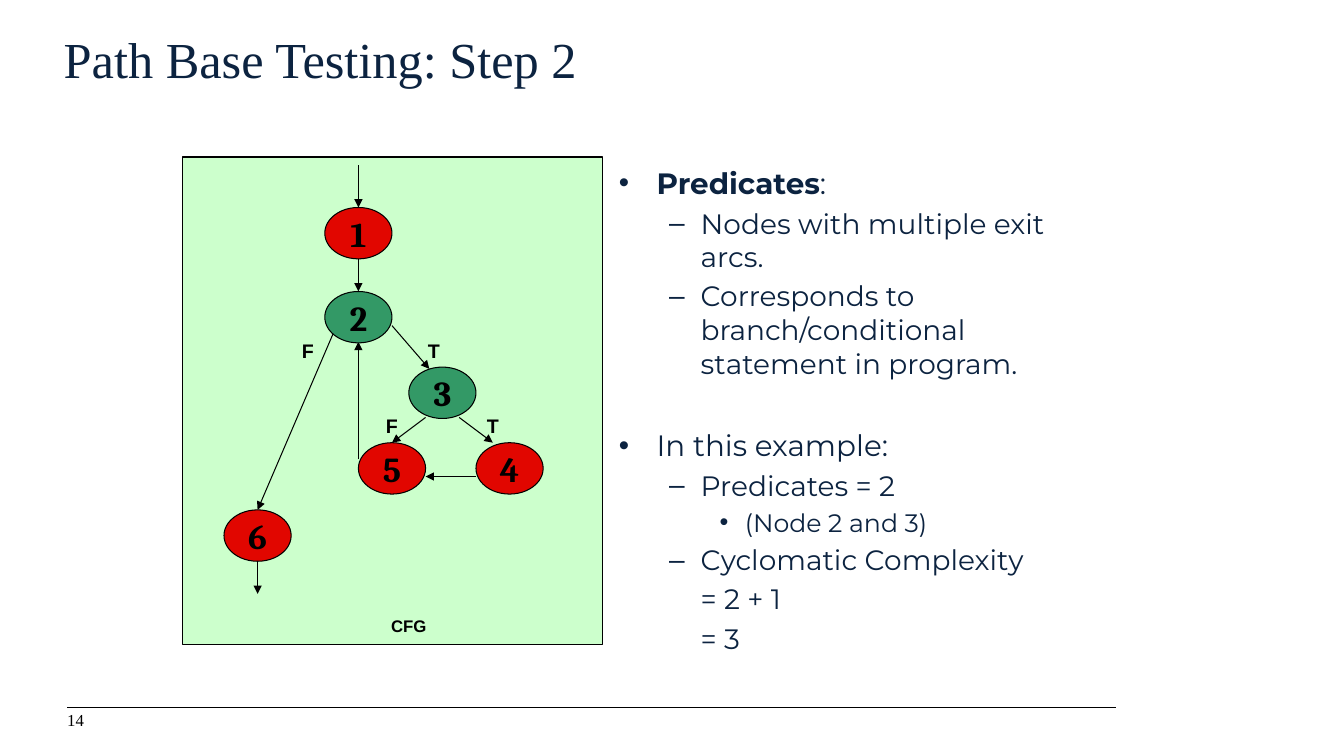
from lxml import etree
from pptx import Presentation
from pptx import util as u
from pptx.dml.color import RGBColor
from pptx.enum import shapes, text
from pptx.oxml.ns import qn

COLOURS = {
    "navy": "0C2340",
    "black": "000000",
    "panel": "CCFFCC",
    "red": "E10600",
    "green": "339966",
}
NODE_WIDTH, NODE_HEIGHT = 48, 36.7

# label: (left, top, colour)
NODES = {
    "1": (232, 148.2, "red"),
    "2": (232, 208.2, "green"),
    "3": (292, 262.2, "green"),
    "4": (340, 316.2, "red"),
    "5": (256, 316.2, "red"),
    "6": (160, 364.2, "red"),
}
ARROWS = [
    (256, 118.2, 256, 148.2),
    (256, 184.6, 256, 208.2),
    (280, 232.6, 306.7, 263.5),
    (304, 298.2, 280, 316.2),
    (328, 298.2, 352, 316.2),
    (340, 340.4, 304, 340.4),
    (256, 328.2, 256, 244.2),
    (238, 238.2, 184, 364.2),
    (184, 400.6, 184, 424.2),
]
BRANCH_LABELS = [("T", 292, 238.2), ("F", 202, 238.2), ("T", 334, 292.2), ("F", 262, 292.2)]

# level: (left margin, hanging indent, size)
LEVELS = [(27, 27, 21), (58.5, 22.5, 20), (90, 18, 18)]
# level, bulleted, space before, runs of (text, bold)
BULLETS = [
    (0, True, 0, [("Predicates", True), (":", False)]),
    (1, True, 4, [("Nodes with multiple exit arcs.", False)]),
    (1, True, 4, [("Corresponds to branch/conditional statement in program.", False)]),
    (0, True, 34, [("In this example:", False)]),
    (1, True, 4, [("Predicates = 2", False)]),
    (2, True, 3.6, [("(Node 2 and 3)", False)]),
    (1, True, 4, [("Cyclomatic Complexity", False)]),
    (1, False, 4, [("= 2 + 1", False)]),
    (1, False, 4, [("= 3", False)]),
]


def add_text(paragraph, content, font="Arial", size=12, colour="black", bold=False, align=None):
    run = paragraph.add_run()
    run.text = content
    run.font.name = font
    run.font.size = u.Pt(size)
    run.font.bold = bold
    run.font.color.rgb = RGBColor.from_string(COLOURS[colour])
    if align is not None:
        paragraph.alignment = align


def set_frame(frame, anchor, insets=(7.2, 3.6, 7.2, 3.6), wrap=True):
    frame.auto_size = text.MSO_AUTO_SIZE.NONE
    frame.word_wrap = wrap
    frame.vertical_anchor = anchor
    (frame.margin_left, frame.margin_top,
     frame.margin_right, frame.margin_bottom) = map(u.Pt, insets)


class SlideBuilder:
    FLUSH = (0, 0, 7.2, 3.6)
    TOP, MIDDLE = text.MSO_ANCHOR.TOP, text.MSO_ANCHOR.MIDDLE
    CENTRE, LEFT = text.PP_ALIGN.CENTER, text.PP_ALIGN.LEFT

    def __init__(self, slide):
        self.slide = slide

    def placeholder(self, index, left, top, width, height):
        """Move a template placeholder and return its text frame."""
        shape = self.slide.placeholders[index]
        shape.left, shape.top, shape.width, shape.height = map(u.Pt, (left, top, width, height))
        set_frame(shape.text_frame, self.TOP, self.FLUSH)
        return shape.text_frame

    def title(self, content, *box):
        paragraph = self.placeholder(0, *box).paragraphs[0]
        add_text(paragraph, content, font="Times New Roman", size=36, colour="navy", align=self.LEFT)

    def bullets(self, items, *box):
        frame = self.placeholder(1, *box)
        for number, (level, bulleted, before, runs) in enumerate(items):
            paragraph = frame.add_paragraph() if number else frame.paragraphs[0]
            margin, hanging, size = LEVELS[level]
            paragraph.level = level
            paragraph.space_before = u.Pt(before)
            properties = paragraph._p.get_or_add_pPr()
            properties.set("marL", str(u.Pt(margin)))
            properties.set("indent", str(-u.Pt(hanging) if bulleted else 0))
            if not bulleted:
                etree.SubElement(properties, qn("a:buNone"))
            for content, bold in runs:
                add_text(paragraph, content, font="Montserrat", size=size, colour="navy", bold=bold)

    def shape(self, kind, left, top, width, height, fill, line_width):
        shape = self.slide.shapes.add_shape(kind, *map(u.Pt, (left, top, width, height)))
        shape.shadow.inherit = False
        shape.fill.solid()
        shape.fill.fore_color.rgb = RGBColor.from_string(COLOURS[fill])
        shape.line.color.rgb = RGBColor.from_string(COLOURS["black"])
        shape.line.width = u.Pt(line_width)
        return shape

    def node(self, label, left, top, fill):
        shape = self.shape(shapes.MSO_SHAPE.OVAL, left, top, NODE_WIDTH, NODE_HEIGHT, fill, 0.75)
        set_frame(shape.text_frame, self.MIDDLE, wrap=False)
        add_text(shape.text_frame.paragraphs[0], label, font="Cambria", size=25, bold=True,
                 align=self.CENTRE)

    def label(self, content, left, top, width, height, anchor=TOP, insets=(7.2, 3.6, 7.2, 3.6),
              **style):
        frame = self.slide.shapes.add_textbox(*map(u.Pt, (left, top, width, height))).text_frame
        set_frame(frame, anchor, insets)
        add_text(frame.paragraphs[0], content, **style)

    def line(self, start_x, start_y, end_x, end_y, arrow=False):
        connector = self.slide.shapes.add_connector(
            shapes.MSO_CONNECTOR.STRAIGHT, *map(u.Pt, (start_x, start_y, end_x, end_y)))
        connector.line.color.rgb = RGBColor.from_string(COLOURS["black"])
        connector.line.width = u.Pt(0.75)
        if arrow:
            etree.SubElement(connector.line._get_or_add_ln(), qn("a:tailEnd"), type="triangle")
        etree.SubElement(connector._element.spPr, qn("a:effectLst"))


def main():
    presentation = Presentation()
    presentation.slide_width, presentation.slide_height = u.Pt(960), u.Pt(540)
    slide = presentation.slides.add_slide(presentation.slide_layouts[1])
    builder = SlideBuilder(slide)

    builder.title("Path Base Testing: Step 2", 45.5, 20, 749.5, 67)
    builder.bullets(BULLETS, 442, 118, 328.5, 342)

    builder.shape(shapes.MSO_SHAPE.RECTANGLE, 130.2, 112.2, 300, 348, "panel", 1)
    for arrow in ARROWS:
        builder.line(*arrow, arrow=True)
    for label, (left, top, fill) in NODES.items():
        builder.node(label, left, top, fill)
    for label, left, top in BRANCH_LABELS:
        builder.label(label, left, top, 36, 24, size=14, bold=True, align=builder.CENTRE)
    builder.label("CFG", 268, 436.2, 48, 21.6, bold=True, align=builder.CENTRE)

    builder.line(48, 505.5, 797, 505.5)
    builder.label("14", 48, 508.3, 38, 15, anchor=builder.MIDDLE, insets=builder.FLUSH,
                  font="Times New Roman")

    presentation.save("out.pptx")


if __name__ == "__main__":
    main()
